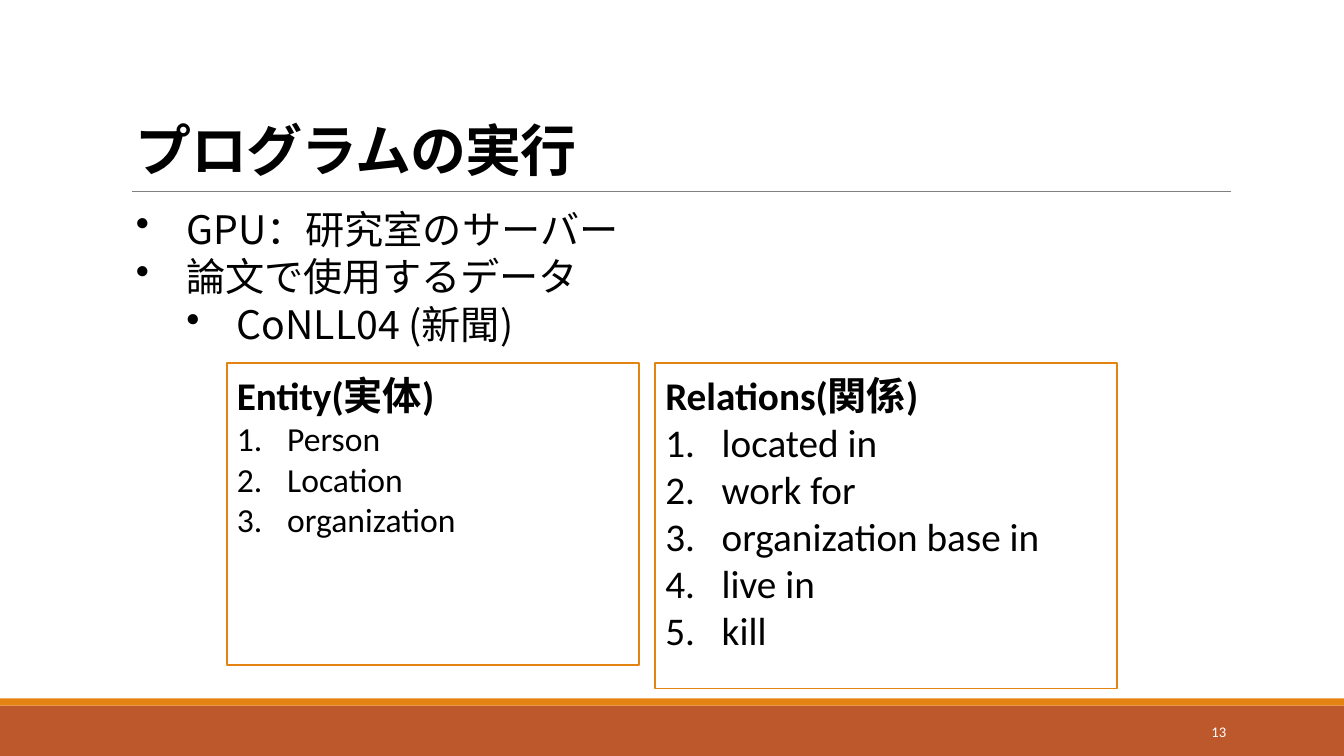
from dataclasses import dataclass

import pptx
import pptx.dml.color
import pptx.enum.shapes
import pptx.enum.text
import pptx.oxml
import pptx.oxml.ns
import pptx.shapes.autoshape
import pptx.slide
import pptx.text.text
import pptx.util

EMU_PER_PX = 9144  # 100 px to the inch

BLACK = pptx.dml.color.RGBColor(0x00, 0x00, 0x00)
WHITE = pptx.dml.color.RGBColor(0xFF, 0xFF, 0xFF)
GRAY = pptx.dml.color.RGBColor(0x80, 0x80, 0x80)
ORANGE = pptx.dml.color.RGBColor(0xE4, 0x83, 0x12)
RUST = pptx.dml.color.RGBColor(0xBD, 0x58, 0x2C)

LATIN_FONT = "Calibri"
JAPANESE_FONT = "Noto Sans CJK JP"

TOP = pptx.enum.text.MSO_ANCHOR.TOP
MIDDLE = pptx.enum.text.MSO_ANCHOR.MIDDLE
BOTTOM = pptx.enum.text.MSO_ANCHOR.BOTTOM


@dataclass(frozen=True)
class Box:
    left: int
    top: int
    width: int
    height: int

    def emu(self) -> tuple[int, ...]:
        return tuple(px(n) for n in (self.left, self.top, self.width, self.height))


@dataclass(frozen=True)
class ListPanel:
    box: Box
    heading: str
    items: tuple[str, ...]
    item_size: int
    indent: int


@dataclass(frozen=True)
class Bullet:
    text: str
    level: int = 0


BODY_BULLETS = (
    Bullet("GPU：研究室のサーバー"),
    Bullet("論文で使用するデータ"),
    Bullet("CoNLL04 (新聞)", level=1),
)

PANELS = (
    ListPanel(
        Box(650, 360, 458, 323), "Relations(関係)",
        ("located in", "work for", "organization base in", "live in", "kill"), 28, 56,
    ),
    ListPanel(
        Box(225, 360, 409, 300), "Entity(実体)",
        ("Person", "Location", "organization"), 24, 50,
    ),
)


def px(length: int) -> int:
    return pptx.util.Emu(length * EMU_PER_PX)


def add_rectangle(
    slide: pptx.slide.Slide,
    box: Box,
    fill: pptx.dml.color.RGBColor,
    outline: pptx.dml.color.RGBColor | None = None,
) -> pptx.shapes.autoshape.Shape:
    shape = slide.shapes.add_shape(pptx.enum.shapes.MSO_SHAPE.RECTANGLE, *box.emu())
    shape.shadow.inherit = False
    shape.fill.solid()
    shape.fill.fore_color.rgb = fill
    if outline is None:
        shape.line.fill.background()
    else:
        shape.line.color.rgb = outline
        shape.line.width = pptx.util.Pt(1.25)
    return shape


def add_rule(slide: pptx.slide.Slide, left: int, right: int, top: int) -> None:
    line = slide.shapes.add_connector(
        pptx.enum.shapes.MSO_CONNECTOR.STRAIGHT, px(left), px(top), px(right), px(top)
    )
    line.line.color.rgb = GRAY
    line.line.width = pptx.util.Pt(0.5)
    pptx.oxml.ns.qn("a:effectLst")
    line._element.spPr.append(pptx.oxml.parse_xml(
        f'<a:effectLst {pptx.oxml.ns.nsdecls("a")}/>'
    ))


def prepare_frame(
    shape: pptx.shapes.autoshape.Shape, anchor: pptx.enum.text.MSO_ANCHOR
) -> pptx.text.text.TextFrame:
    frame = shape.text_frame
    frame.word_wrap = True
    frame.vertical_anchor = anchor
    return frame


def add_text(
    frame: pptx.text.text.TextFrame,
    text: str,
    *,
    size: float,
    latin: str = LATIN_FONT,
    color: pptx.dml.color.RGBColor = BLACK,
    bold: bool = False,
    spacing: float | None = None,
    line_points: float | None = None,
    alignment: pptx.enum.text.PP_ALIGN = pptx.enum.text.PP_ALIGN.LEFT,
    level: int = 0,
    indent: int = 0,
    marker: str = "",
) -> None:
    """Append a paragraph; marker is the XML tag of its bullet or number."""
    first = frame.paragraphs[0]
    paragraph = frame.add_paragraph() if first.runs else first
    paragraph.alignment = alignment
    paragraph.level = level
    if line_points is not None:
        paragraph.line_spacing = pptx.util.Pt(line_points)
    if marker:
        properties = paragraph._p.get_or_add_pPr()
        properties.set("marL", str(px(indent * (level + 1))))
        properties.set("indent", str(px(-indent)))
        properties.append(pptx.oxml.parse_xml(
            f'<a:{marker} {pptx.oxml.ns.nsdecls("a")}/>'
        ))
    run = paragraph.add_run()
    run.text = text
    run.font.size = pptx.util.Pt(size)
    run.font.bold = bold
    run.font.color.rgb = color
    run.font.name = latin
    run_properties = run._r.get_or_add_rPr()
    run_properties.append(pptx.oxml.parse_xml(
        f'<a:ea {pptx.oxml.ns.nsdecls("a")} typeface="{JAPANESE_FONT}"/>'
    ))
    if spacing is not None:
        run_properties.set("spc", str(round(spacing * 100)))


def add_panel(slide: pptx.slide.Slide, panel: ListPanel) -> None:
    frame = prepare_frame(add_rectangle(slide, panel.box, WHITE, ORANGE), TOP)
    add_text(frame, panel.heading, size=28, bold=True, line_points=36)
    for item in panel.items:
        add_text(frame, item, size=panel.item_size, indent=panel.indent,
                 marker='buAutoNum type="arabicPeriod"')


def main() -> None:
    presentation = pptx.Presentation()
    presentation.slide_width = px(1333)
    presentation.slide_height = px(750)
    slide = presentation.slides.add_slide(presentation.slide_layouts[6])

    add_rectangle(slide, Box(0, 700, 1333, 50), RUST)
    add_rectangle(slide, Box(0, 693, 1333, 7), ORANGE)
    add_rule(slide, 131, 1221, 190)

    title = slide.shapes.add_textbox(*Box(125, 46, 975, 140).emu())
    add_text(prepare_frame(title, BOTTOM), "プログラムの実行", size=40,
             latin=JAPANESE_FONT, bold=True, spacing=-0.5)

    body = prepare_frame(slide.shapes.add_textbox(*Box(125, 198, 1112, 151).emu()), TOP)
    for bullet in BODY_BULLETS:
        add_text(body, bullet.text, size=28, latin=JAPANESE_FONT, line_points=34,
                 level=bullet.level, indent=50, marker='buChar char="•"')

    for panel in PANELS:
        add_panel(slide, panel)

    number = slide.shapes.add_textbox(*Box(1083, 706, 143, 40).emu())
    add_text(prepare_frame(number, MIDDLE), "13", size=10.5, color=WHITE,
             alignment=pptx.enum.text.PP_ALIGN.RIGHT)

    presentation.save("out.pptx")


if __name__ == "__main__":
    main()
